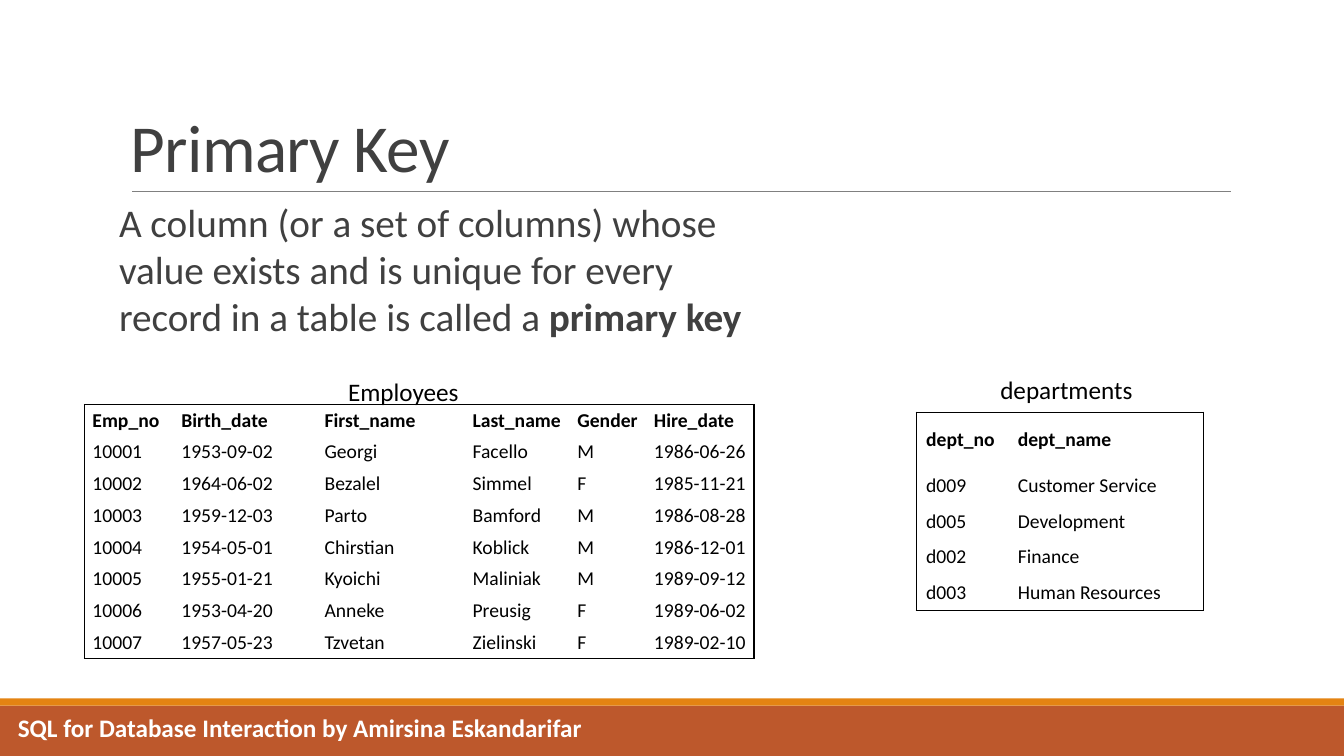
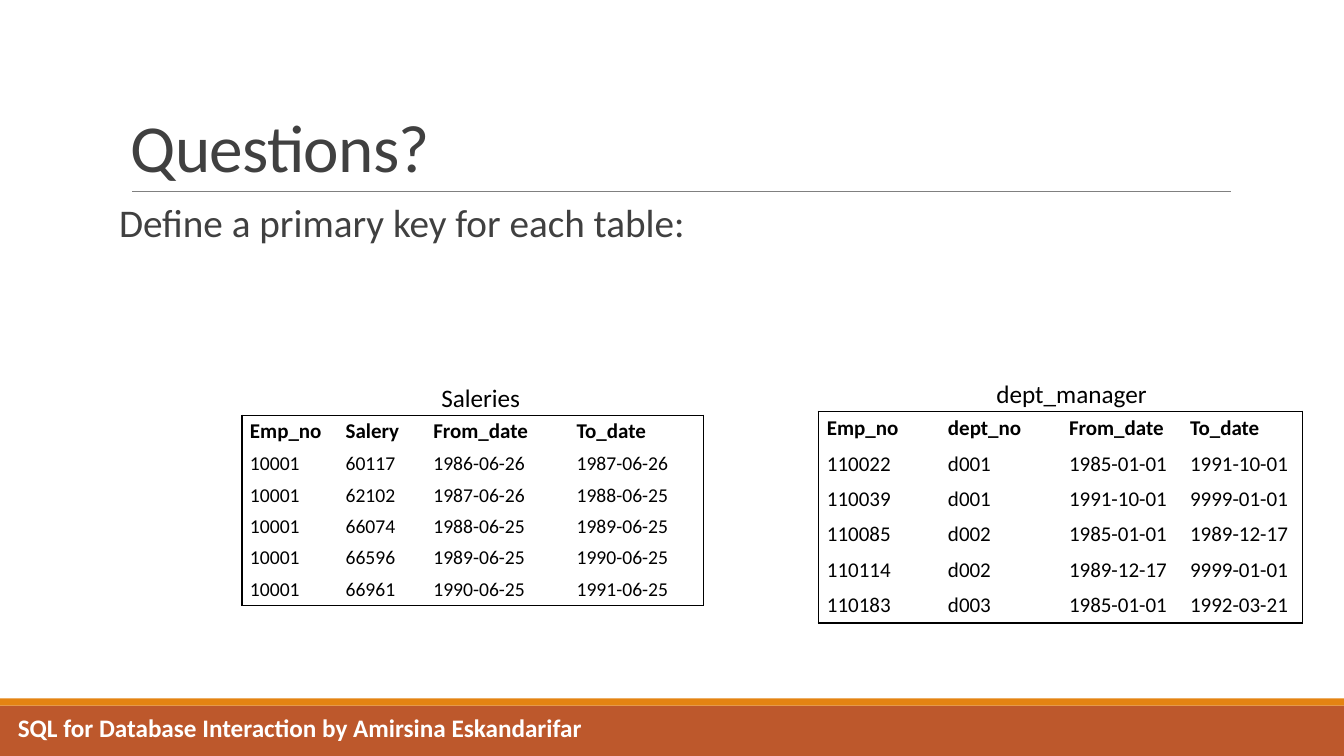
from pptx import Presentation
from pptx.dml.color import RGBColor
from pptx.enum.shapes import MSO_CONNECTOR, MSO_SHAPE
from pptx.enum.text import MSO_ANCHOR, PP_ALIGN
from pptx.oxml import parse_xml
from pptx.oxml.ns import nsdecls, qn
from pptx.util import Cm, Pt

RECT = MSO_SHAPE.RECTANGLE
STRAIGHT = MSO_CONNECTOR.STRAIGHT
TOP, MIDDLE, BOTTOM = MSO_ANCHOR.TOP, MSO_ANCHOR.MIDDLE, MSO_ANCHOR.BOTTOM
LEFT, CENTER = PP_ALIGN.LEFT, PP_ALIGN.CENTER
NO_STYLE = "{2D5ABB26-0587-4C30-8999-92F81FD0307C}"


def rgb(color):
    return RGBColor.from_string(color)


class Deck:
    FONT = "Calibri"
    INK, GREY, RULE, WHITE = "000000", "404040", "808080", "FFFFFF"
    RUST, ORANGE = "BD582C", "E48312"
    WIDTH, HEIGHT = 33.87, 19.05
    FOOTER = "SQL for Database Interaction by Amirsina Eskandarifar"

    def __init__(self):
        self.prs = Presentation()
        self.prs.slide_width = Cm(self.WIDTH)
        self.prs.slide_height = Cm(self.HEIGHT)
        self.s = None

    def slide(self, title):
        self.s = self.prs.slides.add_slide(self.prs.slide_layouts[6])
        self.band(17.78, 1.27, self.RUST)
        self.band(17.6, 0.18, self.ORANGE)
        self.rule(3.33, 31.01, 4.83)
        self.title(title)
        self.text(0.2, 17.83, 22.63, 1.02, [(self.FOOTER, True)], 18, self.WHITE)

    def band(self, y, h, color):
        sp = self.s.shapes.add_shape(RECT, 0, Cm(y), Cm(self.WIDTH), Cm(h))
        sp.shadow.inherit = False
        sp.fill.solid()
        sp.fill.fore_color.rgb = rgb(color)
        sp.line.fill.background()

    def rule(self, x1, x2, y):
        line = self.s.shapes.add_connector(STRAIGHT, Cm(x1), Cm(y), Cm(x2), Cm(y))
        line.line.color.rgb = rgb(self.RULE)
        line.line.width = Pt(0.5)
        line._element.spPr.append(parse_xml(f"<a:effectLst {nsdecls('a')}/>"))

    def run(self, p, text, size, color, bold=False):
        r = p.add_run()
        r.text = text
        r.font.name = self.FONT
        r.font.size = Pt(size)
        r.font.bold = bold
        r.font.color.rgb = rgb(color)
        return r

    def text(self, x, y, w, h, runs, size, color, align=LEFT, anchor=TOP):
        tf = self.s.shapes.add_textbox(Cm(x), Cm(y), Cm(w), Cm(h)).text_frame
        tf.word_wrap = True
        tf.vertical_anchor = anchor
        p = tf.paragraphs[0]
        p.alignment = align
        for text, bold in runs:
            self.run(p, text, size, color, bold)
        return tf

    def title(self, text):
        tf = self.text(3.05, 0.79, 27.94, 4.04, [(text, False)], 48, self.GREY, anchor=BOTTOM)
        p = tf.paragraphs[0]
        p.line_spacing = 0.85
        p.runs[0]._r.get_or_add_rPr().set("spc", "-50")

    def body(self, w, h, runs):
        tf = self.text(3, 4.88, w, h, runs, 28, self.GREY)
        tf.margin_left = tf.margin_right = 0
        p = tf.paragraphs[0]
        p.space_before, p.space_after = Pt(12), Pt(2)

    def caption(self, x, y, text):
        self.text(x, y, 11.33, 1.02, [(text, False)], 18, self.INK, CENTER)

    def border(self, cell, sides):
        tcPr = cell._tc.get_or_add_tcPr()
        for side in sides:
            tcPr.append(parse_xml(
                f'<a:ln{side} {nsdecls("a")} w="12700"><a:solidFill>'
                f'<a:srgbClr val="{self.INK}"/></a:solidFill></a:ln{side}>'))

    def table(self, x, y, widths, heights, rows, sizes=(14, 14), pad=(0.2, 0.1)):
        head_h, row_h = heights
        head_size, row_size = sizes
        last_row, last_col = len(rows) - 1, len(widths) - 1
        tbl = self.s.shapes.add_table(
            len(rows), len(widths), Cm(x), Cm(y), Cm(sum(widths)),
            Cm(head_h + row_h * last_row)).table
        tbl.first_row = tbl.horz_banding = False
        tbl._tbl.tblPr.find(qn("a:tableStyleId")).text = NO_STYLE
        for col, w in zip(tbl.columns, widths):
            col.width = Cm(w)
        for i, values in enumerate(rows):
            head = i == 0
            tbl.rows[i].height = Cm(head_h if head else row_h)
            for j, value in enumerate(values):
                cell = tbl.cell(i, j)
                cell.vertical_anchor = MIDDLE
                cell.margin_left = cell.margin_right = Cm(pad[0])
                cell.margin_top = cell.margin_bottom = Cm(pad[1])
                edges = {"L": j == 0, "R": j == last_col, "T": head, "B": i == last_row}
                self.border(cell, [side for side, on in edges.items() if on])
                cell.fill.background()
                self.run(cell.text_frame.paragraphs[0], value,
                         head_size if head else row_size, self.INK, head)


EMPLOYEES = [
    ("Emp_no", "Birth_date", "First_name", "Last_name", "Gender", "Hire_date"),
    ("10001", "1953-09-02", "Georgi", "Facello", "M", "1986-06-26"),
    ("10002", "1964-06-02", "Bezalel", "Simmel", "F", "1985-11-21"),
    ("10003", "1959-12-03", "Parto", "Bamford", "M", "1986-08-28"),
    ("10004", "1954-05-01", "Chirstian", "Koblick", "M", "1986-12-01"),
    ("10005", "1955-01-21", "Kyoichi", "Maliniak", "M", "1989-09-12"),
    ("10006", "1953-04-20", "Anneke", "Preusig", "F", "1989-06-02"),
    ("10007", "1957-05-23", "Tzvetan", "Zielinski", "F", "1989-02-10"),
]
DEPARTMENTS = [
    ("dept_no", "dept_name"),
    ("d009", "Customer Service"),
    ("d005", "Development"),
    ("d002", "Finance"),
    ("d003", "Human Resources"),
]
MANAGERS = [
    ("Emp_no", "dept_no", "From_date", "To_date"),
    ("110022", "d001", "1985-01-01", "1991-10-01"),
    ("110039", "d001", "1991-10-01", "9999-01-01"),
    ("110085", "d002", "1985-01-01", "1989-12-17"),
    ("110114", "d002", "1989-12-17", "9999-01-01"),
    ("110183", "d003", "1985-01-01", "1992-03-21"),
]
SALARIES = [
    ("Emp_no", "Salery", "From_date", "To_date"),
    ("10001", "60117", "1986-06-26", "1987-06-26"),
    ("10001", "62102", "1987-06-26", "1988-06-25"),
    ("10001", "66074", "1988-06-25", "1989-06-25"),
    ("10001", "66596", "1989-06-25", "1990-06-25"),
    ("10001", "66961", "1990-06-25", "1991-06-25"),
]


def main():
    deck = Deck()

    deck.slide("Primary Key")
    deck.body(16.74, 4.7, [
        ("A column (or a set of columns) whose value exists and is unique "
         "for every record in a table is called a ", False),
        ("primary key", True)])
    deck.table(2.13, 10.19, [2.24, 3.61, 3.73, 2.64, 1.93, 2.72], (0.8, 0.8), EMPLOYEES)
    deck.caption(4.5, 9.35, "Employees")
    deck.caption(21.21, 9.32, "departments")
    deck.table(23.09, 10.39, [2.31, 4.93], (1.4, 0.9), DEPARTMENTS, pad=(0.25, 0.13))

    deck.slide("Questions?")
    deck.body(28.91, 12.72, [("Define a primary key for each table:", False)])
    deck.table(20.62, 10.36, [3.05] * 4, (0.89, 0.89), MANAGERS, (15, 15), (0.22, 0.11))
    deck.caption(21.34, 9.42, "dept_manager")
    deck.table(6.1, 10.46, [2.41, 2.21, 3.61, 3.4], (0.84, 0.79), SALARIES, (15, 14), (0.2, 0.09))
    deck.caption(6.45, 9.5, "Saleries")

    deck.prs.save("out.pptx")


if __name__ == "__main__":
    main()
